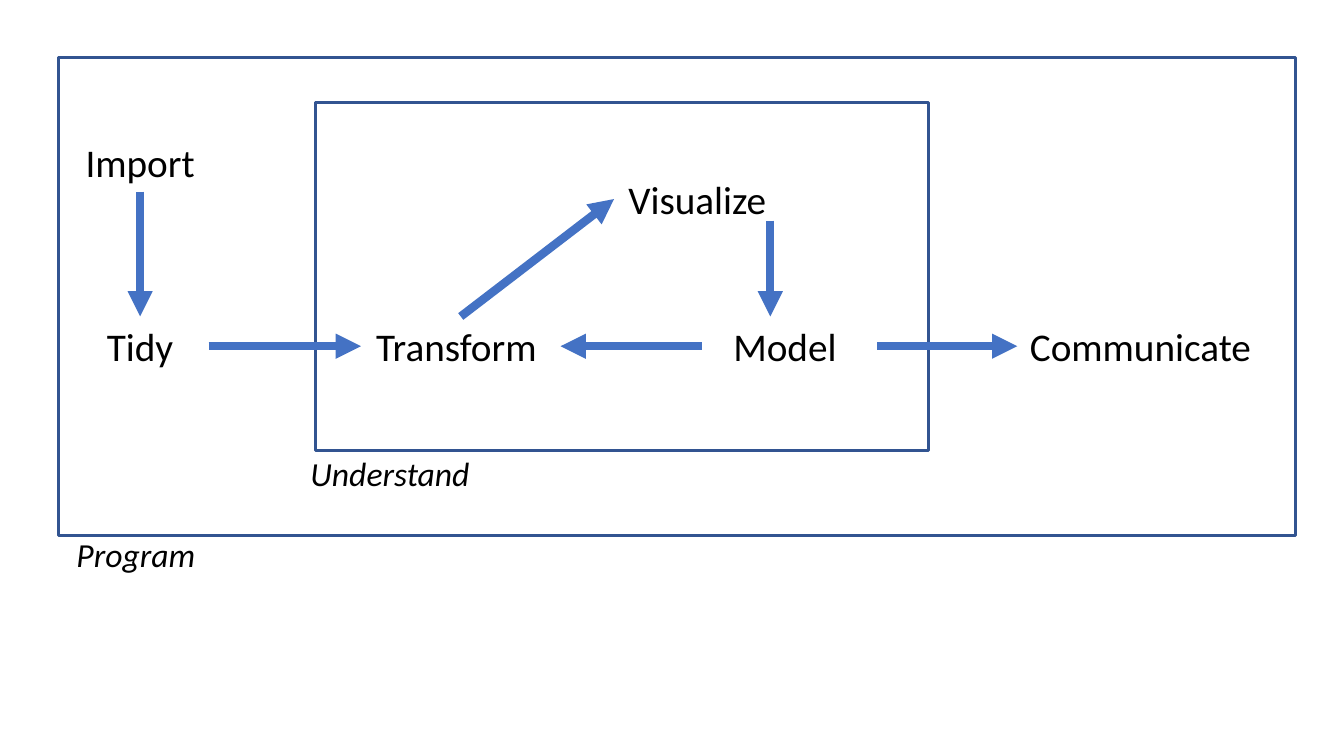
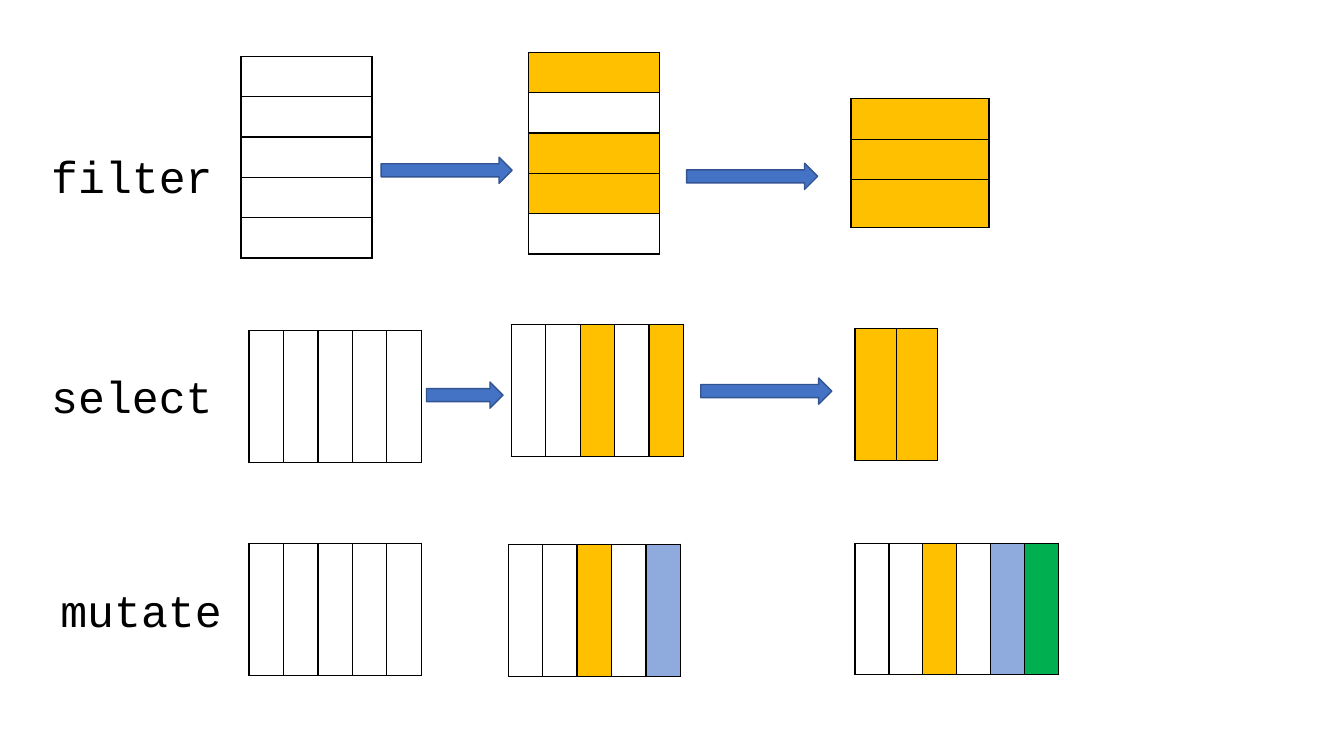
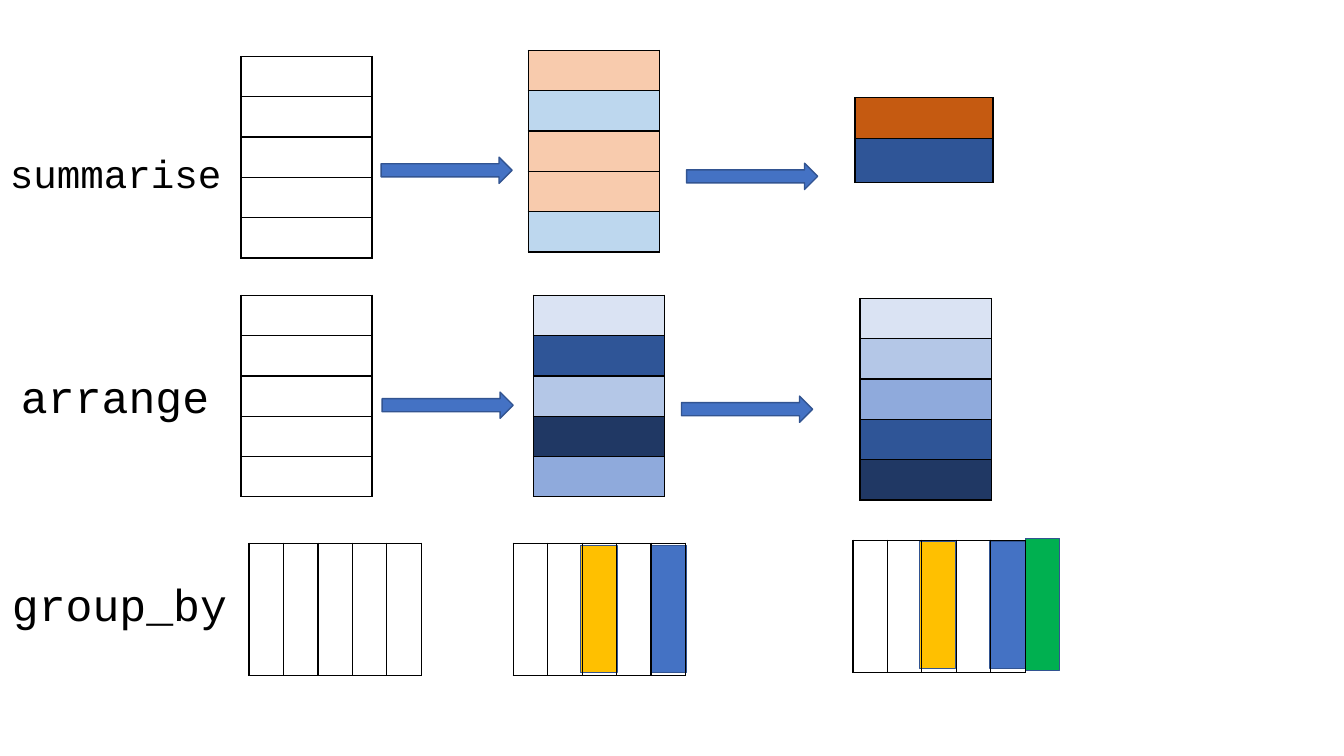
from lxml import etree
from pptx import Presentation
from pptx.dml.color import RGBColor
from pptx.enum.shapes import MSO_CONNECTOR, MSO_SHAPE
from pptx.enum.text import MSO_ANCHOR, MSO_AUTO_SIZE, PP_ALIGN
from pptx.oxml.ns import qn
from pptx.util import Inches, Pt

RECT, RIGHT_ARROW = MSO_SHAPE.RECTANGLE, MSO_SHAPE.RIGHT_ARROW
STRAIGHT = MSO_CONNECTOR.STRAIGHT
MIDDLE, CENTER = MSO_ANCHOR.MIDDLE, PP_ALIGN.CENTER
FIT_SHAPE = MSO_AUTO_SIZE.SHAPE_TO_FIT_TEXT
TOP, LEFT, BOTTOM, RIGHT = range(4)

COLORS = {
    "black": "000000", "blue": "4472C4", "outline": "325491",
    "gold": "FFC000", "green": "00B050", "peach": "F8CBAD",
    "sky": "BDD7EE", "rust": "C55A11", "pale": "DAE3F3",
    "light": "B4C7E7", "medium": "8FAADC", "dark": "2F5597",
    "navy": "203864",
}
BODY_FONT, CODE_FONT = "Calibri", "Courier New"
ROW_HEIGHT = 0.4

STEPS = [
    ("Import", 0.71, 1.31, 1.36),
    ("Tidy", 0.71, 3.14, 1.36),
    ("Transform ", 3.58, 3.14, 1.98),
    ("Visualize ", 6.09, 1.68, 1.74),
    ("Model ", 6.96, 3.14, 1.74),
    ("Communicate ", 10.09, 3.14, 2.53),
]
FRAMES = [
    ("Understand ", (3.13, 1.02, 6.08, 3.45), (2.83, 4.4)),
    ("Program ", (0.58, 0.57, 12.27, 4.74), (0.31, 5.2)),
]
LINKS = [
    ("Import", BOTTOM, "Tidy", TOP),
    ("Tidy", RIGHT, "Transform", LEFT),
    ("Transform", TOP, "Visualize", LEFT),
    ("Model", LEFT, "Transform", RIGHT),
    ("Model", RIGHT, "Communicate", LEFT),
]
VISUALIZE_TO_MODEL = (7.64, 2.19, 7.64, 3.14)

BLANK = [None] * 5
ROWS, COLS = (1.3, 2.0), (1.71, 1.31)
VERB_SLIDES = [
    {
        "labels": [("filter", 0.41, 1.43, 1.82, 32),
                   ("select", 0.41, 3.61, 1.82, 32),
                   ("mutate", 0.5, 5.73, 1.82, 32)],
        "bars": [],
        "row_tables": [
            (2.39, 0.56, ROWS, BLANK),
            (5.24, 0.52, ROWS, ["gold", None, "gold", "gold", None]),
            (8.44, 0.98, (1.37, 1.28), ["gold"] * 3),
        ],
        "column_tables": [
            (2.47, 3.28, COLS, BLANK),
            (5.07, 3.22, COLS, [None, None, "gold", None, "gold"]),
            (8.48, 3.26, (0.82, 1.31), ["gold"] * 2),
            (2.47, 5.39, COLS, BLANK),
            (5.04, 5.4, COLS, [None, None, "gold", None, "medium"]),
            (8.48, 5.39, (2.02, 1.3),
             [None, None, "gold", None, "medium", "green"]),
        ],
        "arrows": [(3.78, 1.56, 1.3), (6.81, 1.62, 1.3),
                   (4.23, 3.79, 0.76), (6.95, 3.75, 1.3)],
    },
    {
        "labels": [("summarise", 0, 1.43, 2.32, 28),
                   ("arrange", 0.11, 3.61, 2.09, 32),
                   ("group_by", 0.02, 5.67, 2.36, 32)],
        "bars": [(5.76, 5.41, 0.36, 1.26, "gold"),
                 (6.45, 5.41, 0.36, 1.26, "blue"),
                 (9.82, 5.37, 0.36, 1.26, "blue"),
                 (9.12, 5.37, 0.36, 1.26, "gold"),
                 (10.17, 5.34, 0.34, 1.31, "green")],
        "row_tables": [
            (2.39, 0.56, ROWS, BLANK),
            (5.24, 0.5, ROWS, ["peach", "sky", "peach", "peach", "sky"]),
            (8.48, 0.97, (1.37, 0.84), ["rust", "dark"]),
            (2.39, 2.93, ROWS, BLANK),
            (5.29, 2.93, ROWS, ["pale", "dark", "light", "navy", "medium"]),
            (8.53, 2.96, ROWS, ["pale", "light", "medium", "dark", "navy"]),
        ],
        "column_tables": [
            (2.47, 5.39, COLS, BLANK),
            (5.09, 5.39, COLS, BLANK),
            (8.46, 5.36, COLS, BLANK),
        ],
        "arrows": [(3.78, 1.56, 1.3), (6.81, 1.62, 1.3),
                   (3.79, 3.89, 1.3), (6.76, 3.93, 1.3)],
    },
]


def rgb(name):
    return RGBColor.from_string(COLORS[name])


def box(*lengths):
    return [Inches(n) for n in lengths]


def add_text(slide, text, at, size, font, italic=False):
    sp = slide.shapes.add_textbox(*box(*at))
    p = sp.text_frame.paragraphs[0]
    p.text = text
    r = p.runs[0]
    r.font.name, r.font.size = font, Pt(size)
    r.font.color.rgb = rgb("black")
    if italic:
        r.font.italic = True
    return sp


def add_step(slide, text, at, size=28, italic=False):
    sp = add_text(slide, text, at, size, BODY_FONT, italic)
    tf = sp.text_frame
    tf.word_wrap = True
    tf.vertical_anchor = MIDDLE
    tf.paragraphs[0].alignment = CENTER
    return sp


def add_verb(slide, text, left, top, width, size):
    height = 0.64 if size == 32 else 0.57
    sp = add_text(slide, text, (left, top, width, height), size, CODE_FONT)
    sp.text_frame.word_wrap = False
    sp.text_frame.auto_size = FIT_SHAPE


def add_block(slide, kind, at, fill=None, line_width=1):
    sp = slide.shapes.add_shape(kind, *box(*at))
    sp.shadow.inherit = False
    if fill:
        sp.fill.solid()
        sp.fill.fore_color.rgb = rgb(fill)
    else:
        sp.fill.background()
    sp.line.color.rgb = rgb("outline")
    sp.line.width = Pt(line_width)


def add_link(slide, ends=(0, 0, 0, 0)):
    link = slide.shapes.add_connector(STRAIGHT, *box(*ends))
    link.line.color.rgb = rgb("blue")
    link.line.width = Pt(6)
    sp_pr = link.element.spPr
    etree.SubElement(sp_pr.find(qn("a:ln")), qn("a:tailEnd"), type="triangle")
    etree.SubElement(sp_pr, qn("a:effectLst"))
    return link


def style_cell(cell, fill):
    cell.margin_top = cell.margin_bottom = 0
    tc_pr = cell._tc.get_or_add_tcPr()
    for side in ("lnL", "lnR", "lnT", "lnB"):
        ln = etree.SubElement(tc_pr, qn(f"a:{side}"), w=str(Pt(1)))
        solid = etree.SubElement(ln, qn("a:solidFill"))
        etree.SubElement(solid, qn("a:srgbClr"), val=COLORS["black"])
    if fill:
        cell.fill.solid()
        cell.fill.fore_color.rgb = rgb(fill)
    else:
        cell.fill.background()


def add_strip(slide, left, top, size, fills, stacked):
    width, height = size
    n = len(fills)
    shape = (n, 1) if stacked else (1, n)
    table = slide.shapes.add_table(*shape, *box(left, top, *size)).table
    table.first_row = table.horz_banding = False
    if stacked:
        for row in table.rows:
            row.height = Inches(ROW_HEIGHT)
        table.rows[n - 1].height = Inches(height - ROW_HEIGHT * (n - 1))
    else:
        for column in table.columns:
            column.width = Inches(width / n)
    for cell, fill in zip(table.iter_cells(), fills):
        style_cell(cell, fill)


def build_workflow(slide):
    steps = {}
    for text, left, top, width in STEPS:
        steps[text.strip()] = add_step(slide, text, (left, top, width, 0.59))
    for text, frame, (left, top) in FRAMES:
        add_block(slide, RECT, frame, line_width=2.25)
        add_step(slide, text, (left, top, 2.15, 0.59), 24, True)
    for start, start_side, end, end_side in LINKS:
        link = add_link(slide)
        link.begin_connect(steps[start], start_side)
        link.end_connect(steps[end], end_side)
    add_link(slide, VISUALIZE_TO_MODEL)


def build_verbs(slide, content):
    for label in content["labels"]:
        add_verb(slide, *label)
    for *at, fill in content["bars"]:
        add_block(slide, RECT, at, fill)
    for strip in content["row_tables"]:
        add_strip(slide, *strip, stacked=True)
    for strip in content["column_tables"]:
        add_strip(slide, *strip, stacked=False)
    for left, top, width in content["arrows"]:
        add_block(slide, RIGHT_ARROW, (left, top, width, 0.26), "blue")


def main():
    prs = Presentation()
    prs.slide_width, prs.slide_height = box(13.33, 7.5)
    blank = prs.slide_layouts[6]
    build_workflow(prs.slides.add_slide(blank))
    for content in VERB_SLIDES:
        build_verbs(prs.slides.add_slide(blank), content)
    prs.save("out.pptx")


if __name__ == "__main__":
    main()
